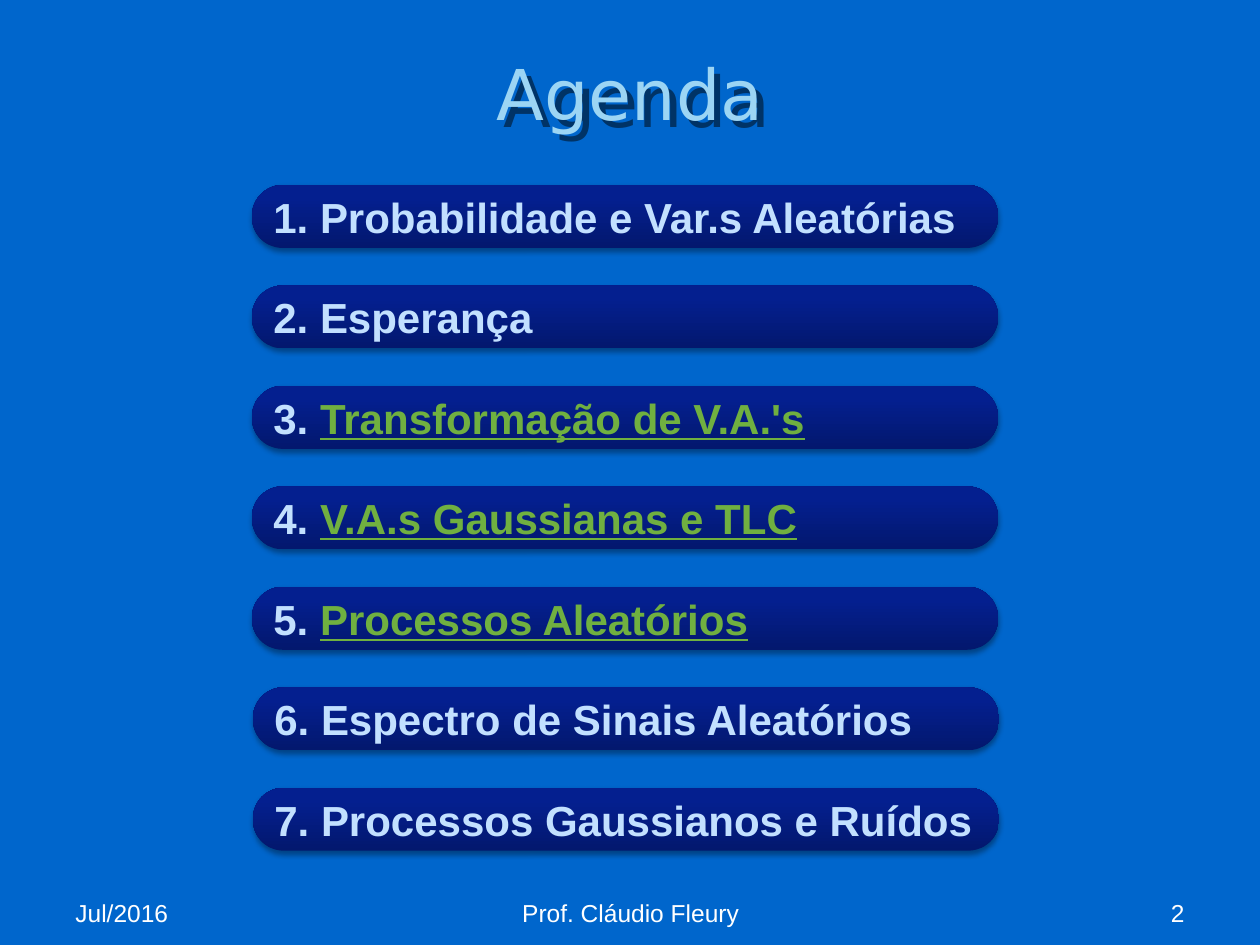
from dataclasses import dataclass

from lxml import etree
from pptx import Presentation
from pptx.dml.color import RGBColor
from pptx.enum.shapes import MSO_SHAPE
from pptx.enum.text import MSO_ANCHOR, PP_ALIGN
from pptx.oxml import parse_xml
from pptx.oxml.ns import qn
from pptx.util import Cm, Pt

LEFT, CENTER, RIGHT = PP_ALIGN.LEFT, PP_ALIGN.CENTER, PP_ALIGN.RIGHT
MIDDLE, TOP = MSO_ANCHOR.MIDDLE, MSO_ANCHOR.TOP
ROUNDED = MSO_SHAPE.ROUNDED_RECTANGLE

DRAWING_NS = "http://schemas.openxmlformats.org/drawingml/2006/main"
BACKGROUND, TITLE, TITLE_SHADOW = "0066CC", "9CD5F4", "003366"
ITEM, LINKED, WHITE, BLACK = "C2E0FF", "70B040", "FFFFFF", "000000"
BAR_STOPS = ((0, "03186E"), (80, "041F8F"), (100, "021D92"))

FIRST_TOP, PITCH = 3.73, 2.025
BAR_WIDTH, BAR_HEIGHT = 15.04, 1.27


@dataclass
class AgendaItem:
    text: str
    linked: bool = False
    left: float = 5.08


@dataclass
class Label:
    text: str
    left: float
    top: float
    width: float
    height: float
    align: PP_ALIGN
    anchor: MSO_ANCHOR = TOP
    font: str = "Arial"
    size: float = 14
    color: str = WHITE


AGENDA = [
    AgendaItem("Probabilidade e Var.s Aleatórias"),
    AgendaItem("Esperança"),
    AgendaItem("Transformação de V.A.'s", linked=True),
    AgendaItem("V.A.s Gaussianas e TLC", linked=True),
    AgendaItem("Processos Aleatórios", linked=True),
    AgendaItem("Espectro de Sinais Aleatórios", left=5.1),
    AgendaItem("Processos Gaussianos e Ruídos", left=5.1),
]
HEADING = Label("Agenda", 1.27, 0.76, 22.86, 2.21, CENTER, MIDDLE,
                "DejaVu Sans", 40, TITLE)
FOOTER = [
    Label("Jul/2016", 1.27, 17.98, 5.92, 0.69, LEFT),
    Label("Prof. Cláudio Fleury", 8.69, 17.98, 8.05, 0.69, CENTER),
    Label("2", 18.21, 17.98, 5.92, 0.69, RIGHT),
]


def rgb(color: str) -> RGBColor:
    return RGBColor.from_string(color)


def style_span(span, font: str, size: float, color: str) -> None:
    span.font.name = font
    span.font.size = Pt(size)
    span.font.color.rgb = rgb(color)


def add_shadow(shape, color: str, opacity: int, blur: float,
               distance: float, angle: int) -> None:
    """Give the shape an outer shadow; blur and distance are in points."""
    shape.shadow.inherit = False
    effects = shape._element.spPr.find(qn("a:effectLst"))
    shadow = etree.SubElement(
        effects, qn("a:outerShdw"), blurRad=str(Pt(blur)),
        dist=str(Pt(distance)), dir=str(angle * 60000), algn="tl",
        rotWithShape="0")
    tint = etree.SubElement(shadow, qn("a:srgbClr"), val=color)
    etree.SubElement(tint, qn("a:alpha"), val=str(opacity * 1000))


def fill_bar(bar) -> None:
    """Apply the three-stop gradient, running from bottom to top."""
    bar.line.fill.background()
    stops = "".join(
        f'<a:gs pos="{position * 1000}"><a:srgbClr val="{color}"/></a:gs>'
        for position, color in BAR_STOPS)
    gradient = parse_xml(
        f'<a:gradFill xmlns:a="{DRAWING_NS}" rotWithShape="1">'
        f'<a:gsLst>{stops}</a:gsLst>'
        f'<a:lin ang="{270 * 60000}" scaled="0"/></a:gradFill>')
    bar._element.spPr.find(qn("a:ln")).addprevious(gradient)


def add_label(page, label: Label):
    box = page.shapes.add_textbox(Cm(label.left), Cm(label.top),
                                  Cm(label.width), Cm(label.height))
    frame = box.text_frame
    frame.word_wrap = True
    frame.vertical_anchor = label.anchor
    frame.text = label.text
    para = frame.paragraphs[0]
    para.alignment = label.align
    style_span(para.runs[0], label.font, label.size, label.color)
    return box


def add_agenda_bar(page, index: int, item: AgendaItem) -> None:
    bar = page.shapes.add_shape(
        ROUNDED, Cm(item.left), Cm(FIRST_TOP + index * PITCH),
        Cm(BAR_WIDTH), Cm(BAR_HEIGHT))
    bar.adjustments[0] = 0.49
    fill_bar(bar)
    add_shadow(bar, BLACK, 35, 3.1, 1.8, 90)

    frame = bar.text_frame
    frame.word_wrap = False
    frame.vertical_anchor = MIDDLE
    para = frame.paragraphs[0]
    para.alignment = LEFT
    number, title = para.add_run(), para.add_run()
    number.text = f"{index + 1}. "
    title.text = item.text
    for span in (number, title):
        style_span(span, "Arial", 24, ITEM)
        span.font.bold = True
    if item.linked:
        title.font.color.rgb = rgb(LINKED)
        title.font.underline = True


def main() -> None:
    deck = Presentation()
    deck.slide_width, deck.slide_height = Cm(25.4), Cm(19.05)
    page = deck.slides.add_slide(deck.slide_layouts[6])
    page.background.fill.solid()
    page.background.fill.fore_color.rgb = rgb(BACKGROUND)

    heading = add_label(page, HEADING)
    add_shadow(heading, TITLE_SHADOW, 100, 0, 5.6, 45)
    for index, item in enumerate(AGENDA):
        add_agenda_bar(page, index, item)
    for label in FOOTER:
        add_label(page, label)
    deck.save("out.pptx")


if __name__ == "__main__":
    main()
